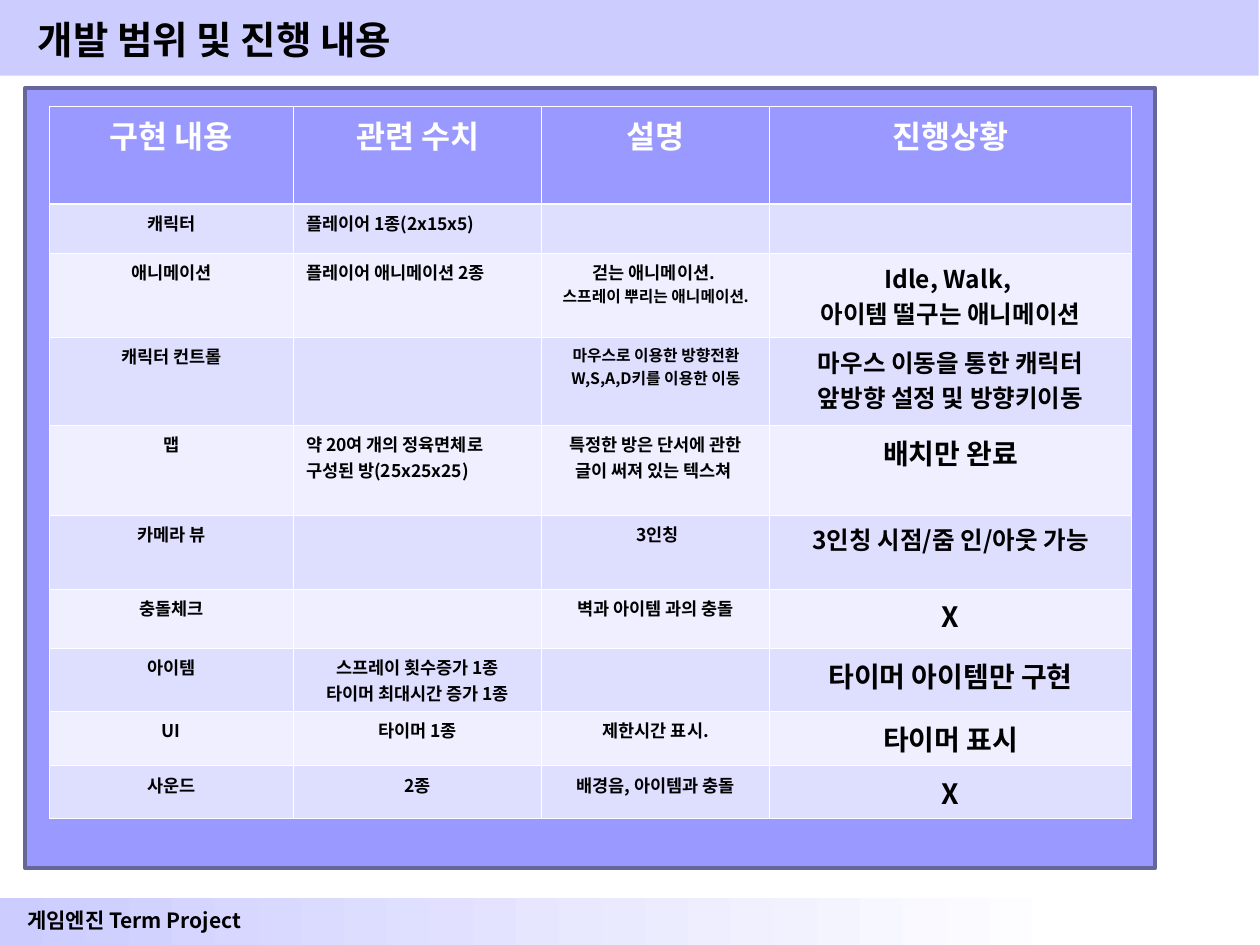
from pptx import Presentation
from pptx.dml.color import RGBColor
from pptx.enum.shapes import MSO_SHAPE
from pptx.enum.text import MSO_ANCHOR, PP_ALIGN
from pptx.oxml.ns import qn
from pptx.util import Inches, Pt
from lxml import etree

RECT = MSO_SHAPE.RECTANGLE
LEFT, CENTER = PP_ALIGN.LEFT, PP_ALIGN.CENTER
MIDDLE = MSO_ANCHOR.MIDDLE
FONT = "Noto Sans CJK KR"
COLORS = {
    "text": "000000", "white": "FFFFFF", "bar": "CCCCFF",
    "panel": "9999FF", "panel_line": "666699",
    "odd_row": "DEDEFF", "even_row": "EFEFFF",
}

# Table grid in inches, text sizes and border widths in points
COL_WIDTHS = [1.94, 1.97, 1.81, 2.87]
HEADER_HEIGHT = 0.78
HEADER = ["구현 내용", "관련 수치", "설명", "진행상황"]
BODY_SIZE, SMALL_SIZE, HEADER_SIZE = 10, 9, 18
THIN, THICK = 0.45, 1.47
LAST_LEFT_ROW = 4  # figures are left-aligned down to this row

# Row height, size of the progress text, then the four cells
ROWS = [
    (0.39, 10, ["캐릭터", "플레이어 1종(2x15x5)", "", ""]),
    (0.64, 14, ["애니메이션", "플레이어 애니메이션 2종",
                "걷는 애니메이션. \n스프레이 뿌리는 애니메이션.",
                "Idle, Walk, \n아이템 떨구는 애니메이션"]),
    (0.7, 14, ["캐릭터 컨트롤", "",
               "마우스로 이용한 방향전환\nW,S,A,D키를 이용한 이동",
               "마우스 이동을 통한 캐릭터 앞방향 설정 및 방향키이동"]),
    (0.71, 16, ["맵", "약 20여 개의 정육면체로\n구성된 방(25x25x25)",
                "특정한 방은 단서에 관한\n글이 써져 있는 텍스쳐 ", "배치만 완료"]),
    (0.59, 14, ["카메라 뷰", "", " 3인칭", "3인칭 시점/줌 인/아웃 가능"]),
    (0.47, 16, ["충돌체크", "", "벽과 아이템 과의 충돌", "X"]),
    (0.47, 16, ["아이템", "스프레이 횟수증가 1종\n타이머 최대시간 증가 1종",
                "", "타이머 아이템만 구현"]),
    (0.43, 16, ["UI", "타이머 1종", "제한시간 표시.", "타이머 표시"]),
    (0.39, 16, ["사운드", "2종", "배경음, 아이템과 충돌", "X"]),
]
SMALL_LINES = {"스프레이 뿌리는 애니메이션.", "마우스로 이용한 방향전환",
               "W,S,A,D키를 이용한 이동"}


def rgb(name):
    return RGBColor.from_string(COLORS[name])


def inches(*lengths):
    return [Inches(v) for v in lengths]


def write_line(p, text, size, color="text", align=LEFT):
    p.alignment = align
    if not text:
        p._p.get_or_add_endParaRPr().set("sz", str(size * 100))
        return
    r = p.add_run()
    r.text = text
    for key, value in {"size": Pt(size), "bold": True, "name": FONT}.items():
        setattr(r.font, key, value)
    r.font.color.rgb = rgb(color)
    etree.SubElement(r._r.get_or_add_rPr(), qn("a:ea"), typeface=FONT)


def add_box(slide, at, fill, line=None, fade_to=None):
    s = slide.shapes.add_shape(RECT, *inches(*at))
    s.shadow.inherit = False
    if fade_to:
        s.fill.gradient()
        s.fill.gradient_angle = 0
        for stop, name in zip(s.fill.gradient_stops, (fill, fade_to)):
            stop.color.rgb = rgb(name)
    else:
        s.fill.solid()
        s.fill.fore_color.rgb = rgb(fill)
    if line:
        s.line.color.rgb = rgb(line)
        s.line.width = Pt(2.25)
    else:
        s.line.fill.background()


def set_borders(cell, widths):
    tc_pr = cell._tc.get_or_add_tcPr()
    for side, width in widths.items():
        ln = etree.SubElement(tc_pr, qn("a:ln" + side), w=str(Pt(width)))
        fill = etree.SubElement(ln, qn("a:solidFill"))
        etree.SubElement(fill, qn("a:srgbClr"), val=COLORS["white"])


def fill_cell(cell, text, size, fill, color="text", align=CENTER,
              top=THIN, bottom=THIN):
    set_borders(cell, {"L": THIN, "R": THIN, "T": top, "B": bottom})
    cell.fill.solid()
    cell.fill.fore_color.rgb = rgb(fill)
    tf = cell.text_frame
    for i, line in enumerate(text.split("\n")):
        p = tf.add_paragraph() if i else tf.paragraphs[0]
        write_line(p, line, SMALL_SIZE if line in SMALL_LINES else size,
                   color, align)


def add_progress_table(slide):
    heights = [HEADER_HEIGHT] + [row[0] for row in ROWS]
    table = slide.shapes.add_table(
        len(heights), len(COL_WIDTHS),
        *inches(0.39, 0.84, sum(COL_WIDTHS), sum(heights))).table
    for column, width in zip(table.columns, COL_WIDTHS):
        column.width = Inches(width)
    for row, height in zip(table.rows, heights):
        row.height = Inches(height)

    for c, text in enumerate(HEADER):
        fill_cell(table.cell(0, c), text, HEADER_SIZE, "panel", "white",
                  bottom=THICK)
    for r, (_, progress_size, texts) in enumerate(ROWS, start=1):
        for c, text in enumerate(texts):
            fill_cell(table.cell(r, c), text,
                      progress_size if c == 3 else BODY_SIZE,
                      "odd_row" if r % 2 else "even_row",
                      align=LEFT if c == 1 and r <= LAST_LEFT_ROW else CENTER,
                      top=THICK if r == 1 else THIN)


def add_title(slide, text):
    title = slide.shapes.title
    # Bring the title in front of the top bar
    title._element.getparent().append(title._element)
    title.left, title.top, title.width, title.height = inches(
        0.2, 0.05, 9.69, 0.52)
    title.text_frame.vertical_anchor = MIDDLE
    write_line(title.text_frame.paragraphs[0], text, 22)


def add_footer(slide, text):
    tf = slide.shapes.add_textbox(*inches(0.04, 7.15, 2.05, 0.3)).text_frame
    tf.word_wrap = True
    write_line(tf.paragraphs[0], text, 12, align=CENTER)


def main():
    prs = Presentation()
    prs.slide_width, prs.slide_height = inches(10, 7.5)
    slide = prs.slides.add_slide(prs.slide_layouts[5])

    # Bars with the title and the footer
    add_box(slide, (0, 7.13, 8.53, 0.38), "bar", fade_to="white")
    add_box(slide, (0, 0, 9.99, 0.6), "bar")
    add_footer(slide, "게임엔진 Term Project")
    add_title(slide, "개발 범위 및 진행 내용")

    # Panel with the progress table
    add_box(slide, (0.2, 0.7, 8.97, 6.19), "panel", line="panel_line")
    add_progress_table(slide)

    prs.save("out.pptx")


if __name__ == "__main__":
    main()
